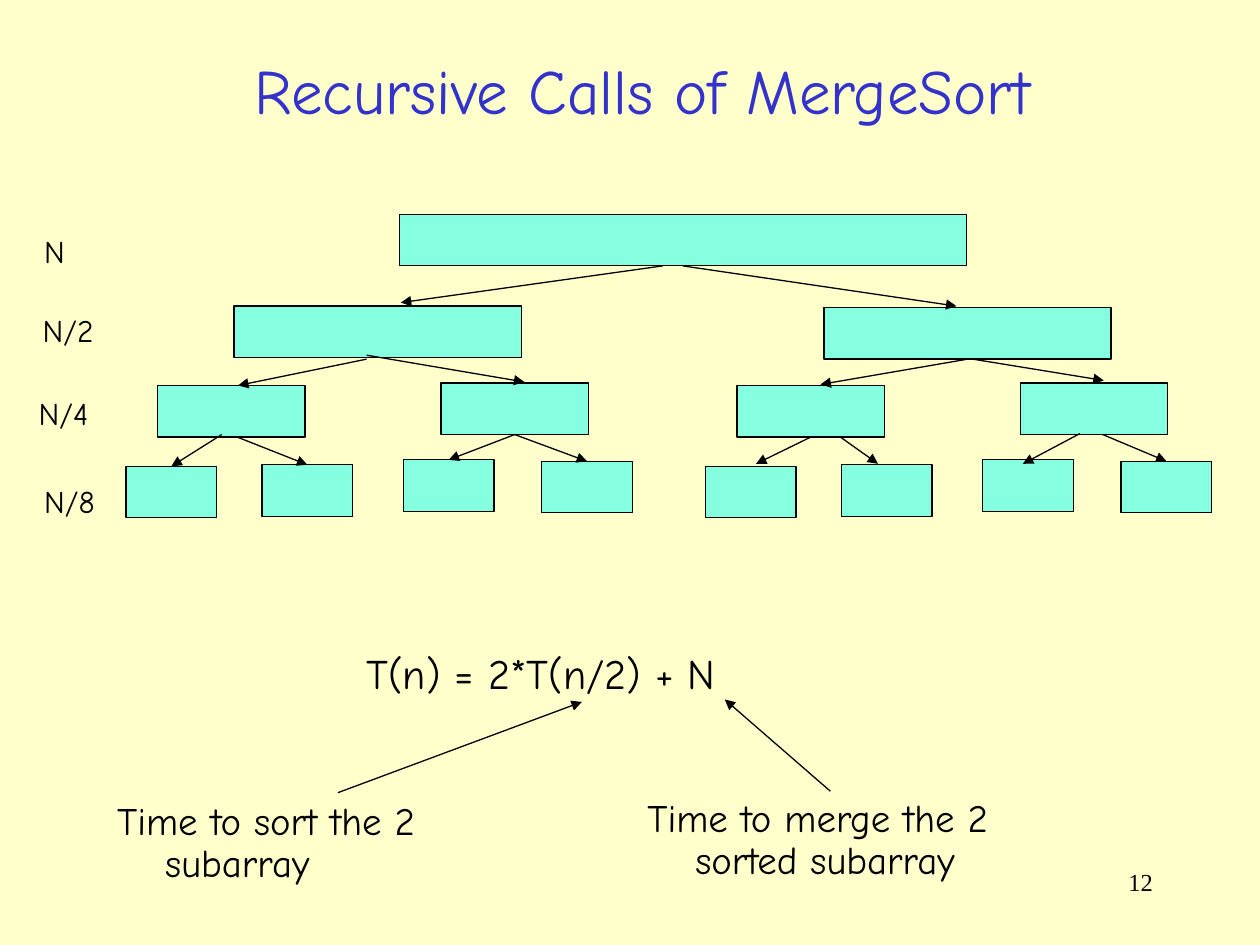
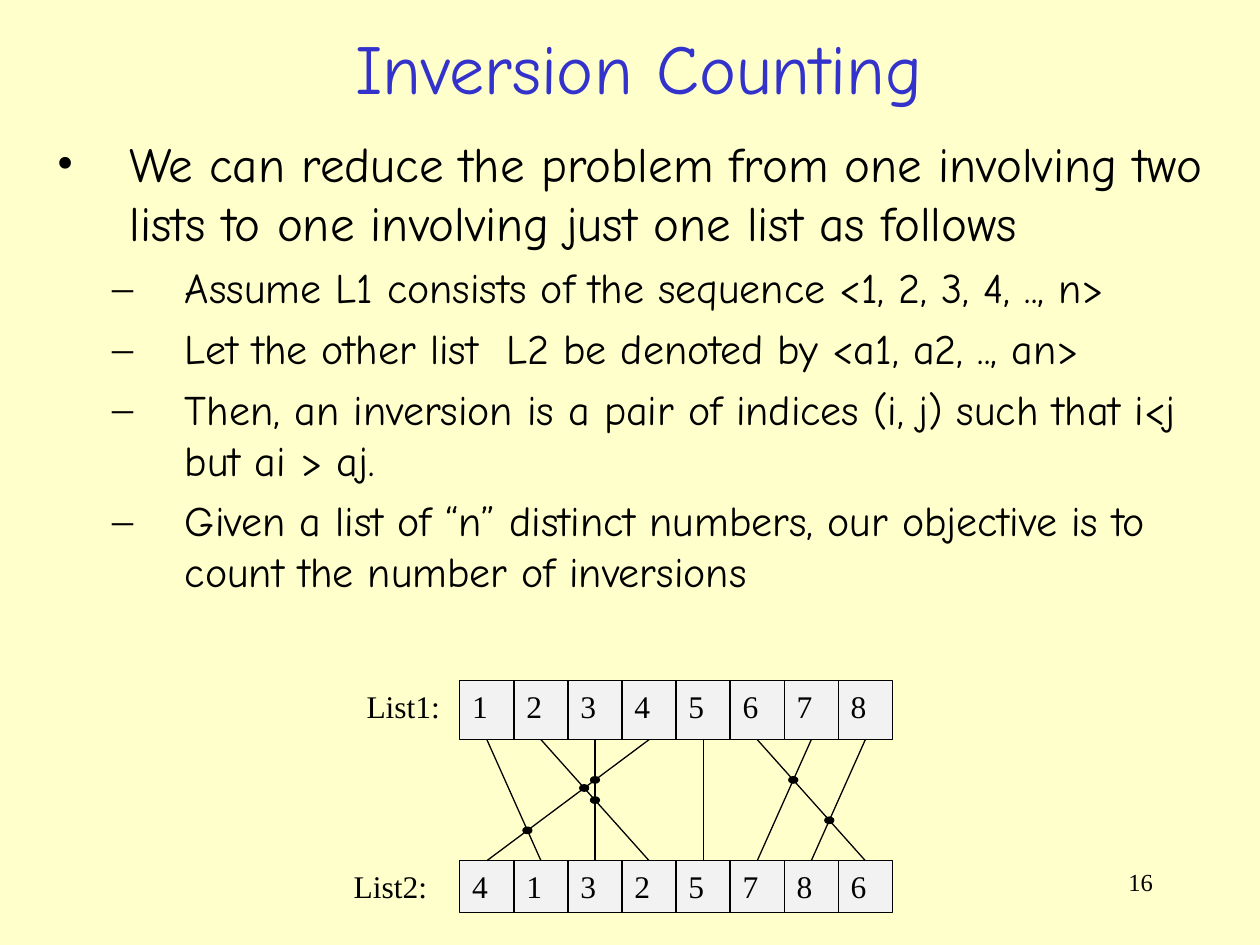
"""Build two slides on merge sort recursion and inversion counting."""
import dataclasses
import itertools

import lxml.etree
import pptx
import pptx.dml.color
import pptx.enum.shapes
import pptx.enum.text
import pptx.oxml.ns
import pptx.util

Cm = pptx.util.Cm
Pt = pptx.util.Pt
qn = pptx.oxml.ns.qn
RGB = pptx.dml.color.RGBColor.from_string
ALIGN = pptx.enum.text.PP_ALIGN
ANCHOR = pptx.enum.text.MSO_ANCHOR
SHAPE = pptx.enum.shapes.MSO_SHAPE


@dataclasses.dataclass(frozen=True)
class Theme:
    background: str = "FFFFCC"
    title: str = "3333CC"
    ink: str = "000000"
    node: str = "85FFE0"
    cell: str = "F2F2F2"
    hand: str = "Comic Neue"
    serif: str = "Times New Roman"
    number_size: float = 14
    label_size: float = 18
    note_size: float = 22.2
    text_size: float = 24
    lead_size: float = 28
    tree_title_size: float = 36
    list_title_size: float = 40
    line: float = 0.75


class Deck:
    SNAP = Cm(0.09)

    def __init__(self, theme):
        self.theme = theme
        self.prs = pptx.Presentation()
        self.prs.slide_width, self.prs.slide_height = Cm(25.4), Cm(19.05)
        fill = self.prs.slide_master.background.fill
        fill.solid()
        fill.fore_color.rgb = RGB(theme.background)

    def add_slide(self, title, box, size, number):
        self.s = self.prs.slides.add_slide(self.prs.slide_layouts[5])
        self.boxes = []
        sp = self.s.shapes.title
        sp.left, sp.top, sp.width, sp.height = map(Cm, box)
        tf = sp.text_frame
        tf.text = title
        tf.auto_size = pptx.enum.text.MSO_AUTO_SIZE.NONE
        tf.vertical_anchor = ANCHOR.MIDDLE
        self.style(tf.paragraphs[0], size, color=self.theme.title, align=ALIGN.CENTER)
        self.text(number, (18.21, 17.35, 5.28, 1.27), self.theme.number_size,
                  self.theme.serif, ALIGN.RIGHT)

    def style(self, p, size, font=None, color=None, align=ALIGN.LEFT):
        p.alignment = align
        for r in p.runs:
            r.font.name = font or self.theme.hand
            r.font.size = Pt(size)
            r.font.color.rgb = RGB(color or self.theme.ink)

    def text(self, text, box, size, font=None, align=ALIGN.LEFT):
        tf = self.s.shapes.add_textbox(*map(Cm, box)).text_frame
        tf.word_wrap = True
        tf.text = text
        for p in tf.paragraphs:
            self.style(p, size, font, align=align)
        return tf

    def indent(self, p, left, hanging, before):
        pPr = p._p.get_or_add_pPr()
        pPr.set("marL", str(Cm(left)))
        pPr.set("indent", str(-Cm(hanging)))
        p.space_before = Pt(before)
        return pPr

    def note(self, text, box, size, spacing=None):
        p = self.text(text, box, size).paragraphs[0]
        p.line_spacing = spacing
        self.indent(p, 0.97, 0.97, 6)

    def bullets(self, lead, points, box):
        tf = self.text("\n".join([lead, *points]), box, self.theme.text_size)
        for i, p in enumerate(tf.paragraphs):
            if i == 0:
                self.style(p, self.theme.lead_size)
                left, before, mark = 1.47, 7, "•"
            else:
                p.level = 1
                left, before, mark = 2.59, 6, "–"
            pPr = self.indent(p, left, 1.47, before)
            lxml.etree.SubElement(pPr, qn("a:buFont")).set("typeface", self.theme.serif)
            lxml.etree.SubElement(pPr, qn("a:buChar")).set("char", mark)

    def shape(self, kind, box, fill):
        sp = self.s.shapes.add_shape(kind, *map(Cm, box))
        sp.shadow.inherit = False
        sp.fill.solid()
        sp.fill.fore_color.rgb = RGB(fill)
        sp.line.color.rgb = RGB(self.theme.ink)
        sp.line.width = Pt(self.theme.line)
        return sp

    def box(self, box, fill, text=""):
        sp = self.shape(SHAPE.RECTANGLE, box, fill)
        if text:
            tf = sp.text_frame
            tf.text = text
            tf.vertical_anchor = ANCHOR.TOP
            self.style(tf.paragraphs[0], self.theme.label_size, self.theme.serif)
        self.boxes.append(sp)

    def dot(self, x, y):
        w, h = 0.18, 0.13
        self.shape(SHAPE.OVAL, (x - w / 2, y - h / 2, w, h), self.theme.ink)

    def join(self, connect, x, y):
        for sp in self.boxes:
            middle = sp.left + sp.width // 2
            for site, edge in ((0, sp.top), (2, sp.top + sp.height)):
                if max(abs(Cm(x) - middle), abs(Cm(y) - edge)) <= self.SNAP:
                    connect(sp, site)
                    return

    def line(self, start, end, arrow=False):
        c = self.s.shapes.add_connector(
            pptx.enum.shapes.MSO_CONNECTOR.STRAIGHT, *map(Cm, start + end))
        c.line.color.rgb = RGB(self.theme.ink)
        c.line.width = Pt(self.theme.line)
        if arrow:
            tail = lxml.etree.SubElement(c.line._get_or_add_ln(), qn("a:tailEnd"))
            tail.set("type", "triangle")
        lxml.etree.SubElement(c._element.spPr, qn("a:effectLst"))
        self.join(c.begin_connect, *start)
        self.join(c.end_connect, *end)


def recursion_slide(deck):
    theme = deck.theme
    deck.add_slide("Recursive Calls of MergeSort", (1.14, 0.38, 23.62, 2.84),
                   theme.tree_title_size, "12")
    for label, x, y in (("N", 0.64, 4.55), ("N/2", 0.61, 6.15),
                        ("N/4", 0.53, 7.82), ("N/8", 0.64, 9.6)):
        deck.text(label, (x, y, 1.93, 1.02), theme.label_size)

    node_height, half_shift = 1.04, 11.68
    quarter, eighth = 2.97, 1.83
    half_tree = ((3.18, 7.77, quarter), (8.89, 7.72, quarter),
                 (2.54, 9.4, eighth), (5.28, 9.37, eighth),
                 (8.13, 9.27, eighth), (10.92, 9.3, eighth))
    nodes = [(8.05, 4.32, 11.43), (16.61, 6.2, 5.79), (4.72, 6.17, 5.79)]
    nodes += [(x + shift, y, w) for shift in (0, half_shift) for x, y, w in half_tree]
    for x, y, w in nodes:
        deck.box((x, y, w, node_height), theme.node)

    calls = (
        ((13.36, 5.36), (8.08, 6.1)), ((13.84, 5.36), (19.28, 6.17)),
        ((7.39, 7.24), (4.8, 7.77)), ((7.39, 7.16), (10.57, 7.7)),
        ((19.58, 7.26), (16.54, 7.75)), ((19.61, 7.24), (22.25, 7.67)),
        ((4.47, 8.76), (3.51, 9.37)), ((4.78, 8.81), (6.15, 9.37)),
        ((10.39, 8.74), (9.07, 9.3)), ((10.39, 8.74), (11.89, 9.25)),
        ((16.28, 8.76), (15.24, 9.35)), ((16.94, 8.81), (17.7, 9.35)),
        ((21.77, 8.74), (20.62, 9.35)), ((22.23, 8.76), (23.47, 9.22)),
    )
    pointers = (((6.81, 15.98), (11.73, 14.15)), ((16.74, 15.95), (14.61, 14.1)))
    for start, end in calls + pointers:
        deck.line(start, end, arrow=True)

    deck.note("T(n) = 2*T(n/2) + N", (7.14, 12.93, 8.64, 1.37), theme.text_size)
    deck.note("Time to sort the 2 subarray", (2.11, 16.05, 8.46, 2.24),
              theme.note_size, 0.9)
    deck.note("Time to merge the 2 sorted subarray", (12.8, 15.98, 9.65, 2.24),
              theme.note_size, 0.9)


def inversion_slide(deck):
    theme = deck.theme
    deck.add_slide("Inversion Counting", (0.76, 0.38, 24.23, 1.93),
                   theme.list_title_size, "16")
    deck.bullets(
        "We can reduce the problem from one involving two lists to one involving "
        "just one list as follows",
        ("Assume L1 consists of the sequence <1, 2, 3, 4, .., n>",
         "Let the other list  L2 be denoted by <a1, a2, .., an>",
         "Then, an inversion is a pair of indices (i, j) such that i<j but ai > aj.",
         "Given a list of “n” distinct numbers, our objective is to count the "
         "number of inversions"),
        (0.89, 2.57, 23.93, 10.57))

    left, step = 9.27, 1.09
    list1, list2 = "12345678", "41325786"
    top1, height1 = 13.72, 1.19
    top2, height2 = 17.35, 1.04
    for name, label_x, values, top, height in (
            ("List1:", 7.14, list1, top1, height1),
            ("List2:", 6.88, list2, top2, height2)):
        deck.text(name, (label_x, top, 2.12, 1.02), theme.label_size, theme.serif)
        for i, value in enumerate(values):
            deck.box((left + i * step, top, step, height), theme.cell, value)

    def middle(i):
        return left + (i + 0.5) * step

    upper = top1 + height1
    links = [(i, list2.index(value)) for i, value in enumerate(list1)]
    for i, j in links:
        deck.line((middle(i), upper), (middle(j), top2))
    for (a, b), (c, d) in itertools.combinations(links, 2):
        if b > d:
            t = (c - a) / (c - a + b - d)
            deck.dot(middle(a + t * (b - a)), upper + t * (top2 - upper))


def main():
    deck = Deck(Theme())
    recursion_slide(deck)
    inversion_slide(deck)
    deck.prs.save("out.pptx")


if __name__ == "__main__":
    main()
